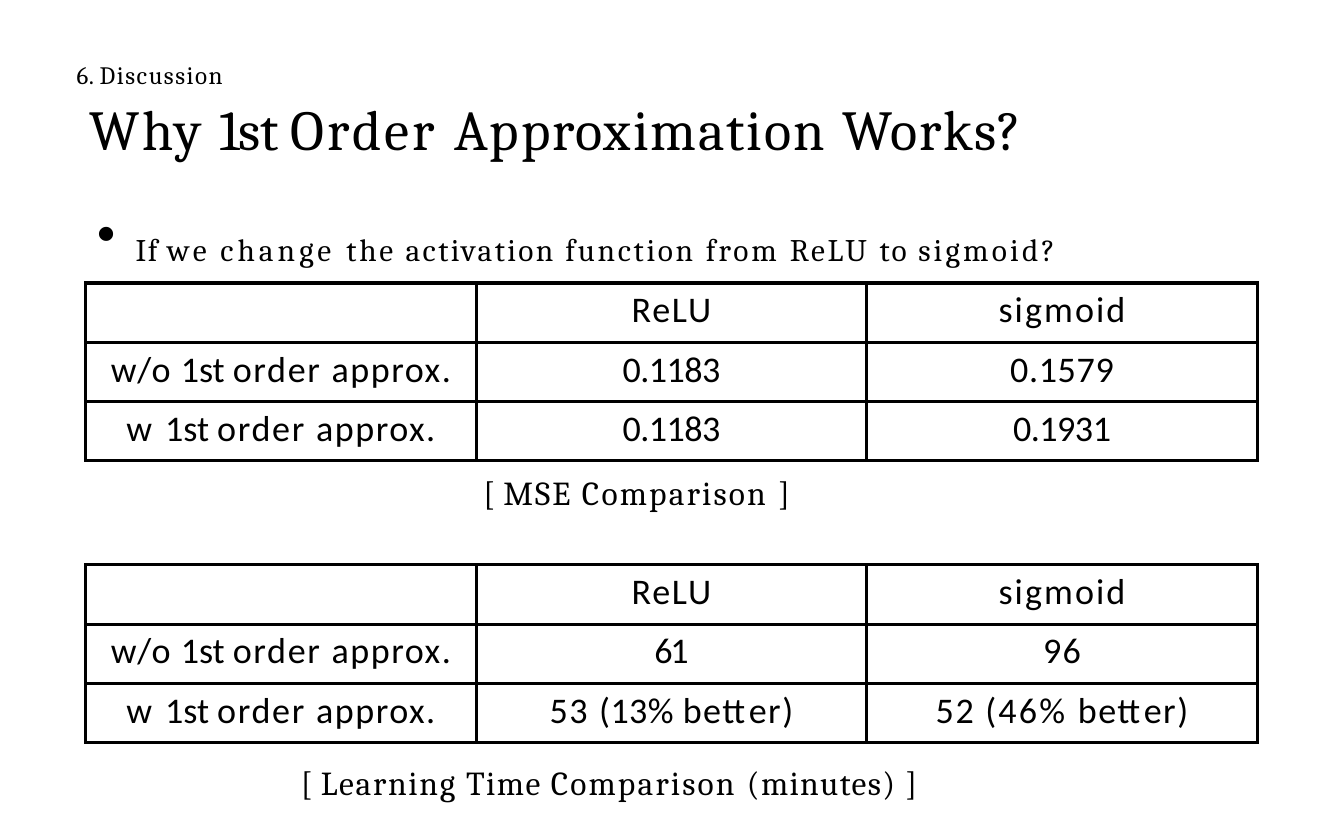
from lxml.etree import SubElement
from pptx import Presentation
from pptx.dml.color import RGBColor
from pptx.enum.text import MSO_ANCHOR, MSO_AUTO_SIZE, PP_ALIGN
from pptx.oxml.ns import qn
from pptx.util import Cm, Pt

COLORS = {"ink": "000000", "page": "FFFFFF"}

deck = Presentation()
deck.slide_width, deck.slide_height = Cm(55.85), Cm(34.9)
slide = deck.slides.add_slide(deck.slide_layouts[5])
slide.background.fill.solid()
slide.background.fill.fore_color.rgb = RGBColor.from_string(COLORS["page"])


def write(para, runs, size, font, before):
    """Add (text, letter spacing in points) runs to a paragraph."""
    para.space_before = Pt(before)
    for text, gap in runs:
        run = para.add_run()
        run.text = text
        run.font.size = Pt(size)
        run.font.name = font
        run.font.bold = False
        run.font.color.rgb = RGBColor.from_string(COLORS["ink"])
        run._r.get_or_add_rPr().set("spc", str(round(gap * 100)))


def fill_box(box, spot, runs, size, before=1.1):
    """Place a text shape and write its one line; give back the paragraph."""
    box.left, box.top, box.width, box.height = [Cm(n) for n in spot]
    frame = box.text_frame
    frame.word_wrap = True
    frame.auto_size = MSO_AUTO_SIZE.SHAPE_TO_FIT_TEXT
    frame.vertical_anchor = MSO_ANCHOR.TOP
    frame.margin_left = frame.margin_right = frame.margin_bottom = 0
    frame.margin_top = Cm(0.04)
    para = frame.paragraphs[0]
    para.alignment = PP_ALIGN.LEFT
    write(para, runs, size, "Cambria", before)
    return para


# Title
fill_box(slide.shapes.title, (3.73, 3.86, 45.97, 2.9), [
    ("Why ", 2.8), ("1st ", -0.8), ("Order ", 3.8),
    ("Approximation ", 2.3), ("Works?", 2.1)], 66.5)

# Section label and table captions
labels = [
    ((3.18, 2.44, 7.39, 1.3), 29.5, [("6. ", 0.6), ("Discussion", 1.8)]),
    ((20.09, 19.56, 16.56, 1.73), 39.5, [
        ("[ ", 0.5), ("MSE ", 2.4), ("Comparison ", 2.6), ("]", 0.5)]),
    ((12.5, 31.62, 30.76, 1.73), 39.5, [
        ("[ ", 0.5), ("Learning ", 2), ("Time ", 1.7), ("Comparison ", 2.6),
        ("(minutes) ", 1.6), ("]", 0.5)]),
]
for spot, size, runs in labels:
    fill_box(slide.shapes.add_textbox(0, 0, 0, 0), spot, runs, size)

# Bulleted question, its text raised and so drawn smaller than the bullet
para = fill_box(slide.shapes.add_textbox(0, 0, 0, 0), (4.01, 8.59, 49.78, 1.85), [
    ("If ", 1.6), ("we ", 4), ("change ", 4.8), ("the ", 3.2),
    ("activation ", 2.8), ("function ", 3.2), ("from ", 3.5),
    ("ReLU ", 3.2), ("to ", 2.7), ("sigmoid?", 3.8)], 63.8, 1.4)
props = para._p.get_or_add_pPr()
props.set("marL", str(Cm(1.63)))
props.set("indent", str(Cm(-1.6)))
SubElement(props, qn("a:buChar")).set("char", "•")
for run in para.runs:
    run._r.get_or_add_rPr().set("baseline", "1000")

# Tables
head = [[], [("ReLU", 2.1)], [("sigmoid", 2.5)]]
order = [("1st ", -0.1), ("order ", 2), ("approx.", 1.8)]
without = [("w/o ", 1.1)] + order
within = [("w ", 2.9)] + order
tables = [
    (11.76, [head,
             [without, [("0.1183", -0.6)], [("0.1579", 0.8)]],
             [within, [("0.1183", -0.6)], [("0.1931", -0.6)]]]),
    (23.47, [head,
             [without, [("61", -2.8)], [("96", 1.4)]],
             [within, [("53 ", 1.9), ("(13% ", 0.5), ("better)", 1.8)],
              [("52 ", 1.9), ("(46% ", 2.6), ("better)", 1.8)]]]),
]
gaps = [6.2, 6.7, 6.3]
for top, rows in tables:
    grid = slide.shapes.add_table(
        3, 3, Cm(3.56), Cm(top), Cm(48.69), Cm(7.38)).table
    grid.first_row = grid.horz_banding = False
    for col in grid.columns:
        col.width = Cm(16.23)
    for r, row in enumerate(rows):
        grid.rows[r].height = Cm(2.46)
        for c, runs in enumerate(row):
            cell = grid.cell(r, c)
            cell.margin_left = cell.margin_right = cell.margin_bottom = 0
            cell.margin_top = Cm(0.23)
            for side in ("a:lnL", "a:lnR", "a:lnT", "a:lnB"):
                line = SubElement(cell._tc.get_or_add_tcPr(), qn(side))
                line.set("w", str(Pt(4.25)))
                paint = SubElement(line, qn("a:solidFill"))
                SubElement(paint, qn("a:srgbClr")).set("val", COLORS["ink"])
            cell.fill.background()
            para = cell.text_frame.paragraphs[0]
            para.alignment = PP_ALIGN.CENTER
            write(para, runs, 42.5, "Calibri", gaps[r])

deck.save("out.pptx")
